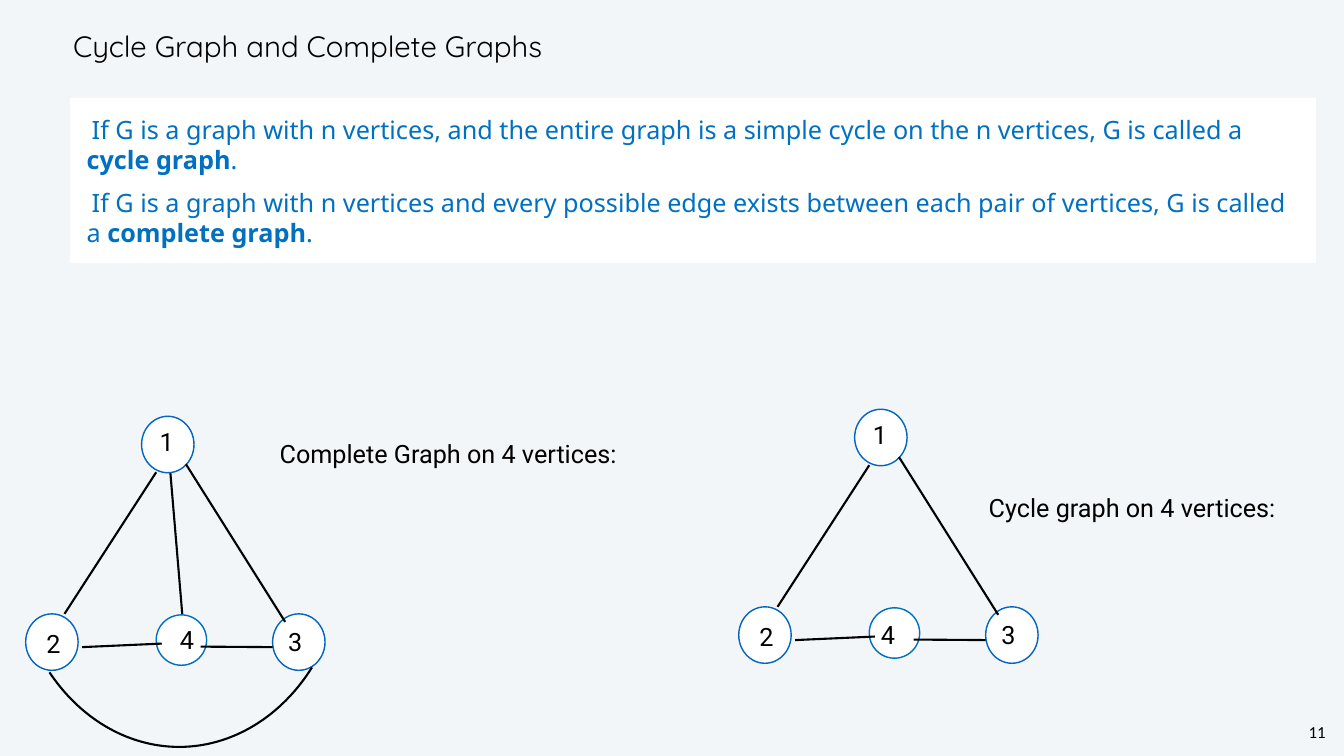
from pptx import Presentation
from pptx.dml.color import RGBColor
from pptx.enum.shapes import MSO_CONNECTOR, MSO_SHAPE
from pptx.enum.text import MSO_ANCHOR, PP_ALIGN
from pptx.oxml.ns import qn
from pptx.util import Inches, Pt

BLACK, WHITE, BLUE, OUTLINE = "000000", "FFFFFF", "0070C0", "0365C0"

# Positions inside a graph, in inches from its top left corner
NODES = {
    "1": (2.3, 0, 1.04, 1.12, OUTLINE),
    "2": (0, 3.92, 1.04, 1.12, OUTLINE),
    "3": (4.9, 3.92, 1.04, 1.12, OUTLINE),
    "4": (2.59, 3.94, 1, 1, BLUE),
}
LABELS = {"1": (2.6, 0.13), "2": (0.35, 4.14), "3": (5.15, 4.11)}
CYCLE_EDGES = [
    (2.59, 1.11, 0.77, 3.92),
    (3.18, 0.95, 5.15, 4.08),
    (1.12, 4.58, 2.7, 4.51),
    (3.47, 4.57, 4.9, 4.58),
]
DIAGONAL = (3.12, 4.08, 2.87, 1.11)
DEFINITIONS = [
    ("If G is a graph with n vertices, and the entire graph is a simple cycle "
     "on the n vertices, G is called a ", "cycle graph"),
    ("If G is a graph with n vertices and every possible edge exists between "
     "each pair of vertices, G is called a ", "complete graph"),
]


def color(value):
    return RGBColor.from_string(value)


def set_font(font, name, size, value):
    font.name, font.size = name, Pt(size)
    font.color.rgb = color(value)


def set_frame(frame, margin, anchor=MSO_ANCHOR.MIDDLE, wrap=True):
    frame.margin_left = frame.margin_right = Inches(margin)
    frame.margin_top = frame.margin_bottom = Inches(margin)
    frame.vertical_anchor, frame.word_wrap = anchor, wrap


def add_label(page, text, left, top, width=1.08, wrap=True):
    box = page.shapes.add_textbox(Inches(left), Inches(top), Inches(width), Inches(0.72))
    set_frame(box.text_frame, 0.06, wrap=wrap)
    para = box.text_frame.paragraphs[0]
    para.text = text
    set_font(para.font, "Roboto", 36, BLACK)


def add_edge(page, left, top, edge):
    x1, y1, x2, y2 = edge
    line = page.shapes.add_connector(
        MSO_CONNECTOR.STRAIGHT, Inches(left + x1), Inches(top + y1),
        Inches(left + x2), Inches(top + y2))
    line.line.color.rgb, line.line.width = color(BLACK), Pt(3)
    properties = line._element.spPr
    properties.append(properties.makeelement(qn("a:effectLst"), {}))


def add_node(page, left, top, width, height, outline):
    node = page.shapes.add_shape(
        MSO_SHAPE.OVAL, Inches(left), Inches(top), Inches(width), Inches(height))
    node.shadow.inherit = False
    node.fill.solid()
    node.fill.fore_color.rgb = color(WHITE)
    node.line.color.rgb, node.line.width = color(outline), Pt(2)


def add_cycle_graph(page, left, top, fourth_label):
    for x, y, width, height, outline in NODES.values():
        add_node(page, left + x, top + y, width, height, outline)
    for edge in CYCLE_EDGES:
        add_edge(page, left, top, edge)
    for text, (x, y) in {**LABELS, "4": fourth_label}.items():
        add_label(page, text, left + x, top + y)


def add_complete_graph(page, left, top, fourth_label):
    """Draw the cycle graph plus the edges 1-4 and 2-3."""
    add_edge(page, left, top, DIAGONAL)
    add_cycle_graph(page, left, top, fourth_label)
    arc = page.shapes.add_shape(
        MSO_SHAPE.ARC, Inches(left - 0.25), Inches(top - 1.33), Inches(6.59), Inches(7.89))
    arc.adjustments[0], arc.adjustments[1] = 25.152, 81.737
    arc.shadow.inherit = False
    arc.fill.background()
    arc.line.color.rgb, arc.line.width = color(BLACK), Pt(3)


def add_title(page, left, top, width, height):
    title = page.shapes.title
    title.left, title.top = Inches(left), Inches(top)
    title.width, title.height = Inches(width), Inches(height)
    set_frame(title.text_frame, 0.06)
    para = title.text_frame.paragraphs[0]
    para.text = "Cycle Graph and Complete Graphs"
    para.alignment, para.line_spacing = PP_ALIGN.LEFT, Pt(50)
    set_font(para.font, "Quicksand", 42, BLACK)


def add_definitions(page, left, top, width, height):
    panel = page.shapes.add_textbox(Inches(left), Inches(top), Inches(width), Inches(height))
    panel.fill.solid()
    panel.fill.fore_color.rgb = color(WHITE)
    frame = panel.text_frame
    set_frame(frame, 0.33, MSO_ANCHOR.TOP)
    for index, (definition, term) in enumerate(DEFINITIONS):
        para = frame.add_paragraph() if index else frame.paragraphs[0]
        para._p.get_or_add_pPr().set("indent", str(Inches(0.1)))
        para.line_spacing = Pt(43)
        para.space_before = Pt(18 if index else 0)
        set_font(para.font, "Noto Sans", 36, BLUE)
        for text in (definition, term, "."):
            span = para.add_run()
            span.text = text
            span.font.bold = text == term


def add_page_number(page, left, top, width, height):
    box = page.shapes.add_textbox(Inches(left), Inches(top), Inches(width), Inches(height))
    set_frame(box.text_frame, 0.04, MSO_ANCHOR.TOP, wrap=False)
    para = box.text_frame.paragraphs[0]
    para.text = "11"
    para.alignment, para.line_spacing = PP_ALIGN.CENTER, Pt(28)
    set_font(para.font, "Calibri", 24, BLACK)


def main():
    deck = Presentation()
    deck.slide_width, deck.slide_height = Inches(26.67), Inches(15)
    page = deck.slides.add_slide(deck.slide_layouts[5])
    page.background.fill.solid()
    page.background.fill.fore_color.rgb = color("F3F6F9")

    add_title(page, 1.39, 0.42, 22.62, 0.99)
    add_definitions(page, 1.39, 1.94, 24.72, 3.28)
    add_complete_graph(page, 0.51, 8.26, fourth_label=(3, 4.07))
    add_label(page, "Complete Graph on 4 vertices:", 5.49, 8.63, 6.96, wrap=False)
    add_cycle_graph(page, 14.66, 8.12, fourth_label=(2.76, 4.11))
    add_label(page, "Cycle graph on 4 vertices:", 19.56, 9.7, 5.95, wrap=False)
    add_page_number(page, 25.92, 14.29, 0.43, 0.47)
    deck.save("out.pptx")


if __name__ == "__main__":
    main()
